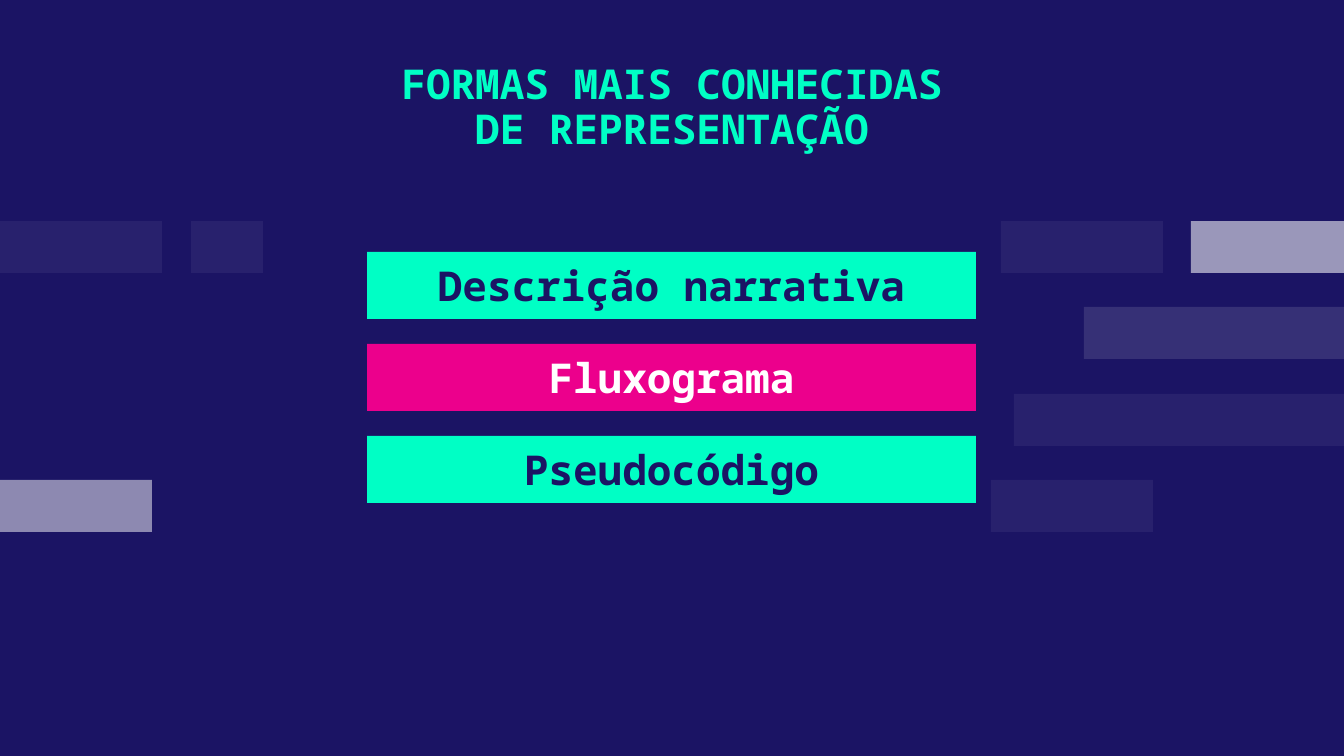
"""Build a slide listing the best-known forms of representing algorithms."""
import pptx
import pptx.dml.color
import pptx.enum.shapes
import pptx.enum.text
import pptx.oxml
import pptx.oxml.ns
import pptx.util

PX = 914400 / 134.4
NAVY, MINT, PINK, WHITE = "1B1464", "00FFC5", "EC008C", "FFFFFF"


def paint(target, colour):
    if hasattr(target, "solid"):
        target.solid()
        target = target.fore_color
    target.rgb = pptx.dml.color.RGBColor.from_string(colour)


def write(box, lines, colour, anchor, spacing):
    frame = box.text_frame
    frame_format = {
        "word_wrap": True,
        "auto_size": pptx.enum.text.MSO_AUTO_SIZE.NONE,
        "vertical_anchor": anchor,
    }
    for side in ("left", "top", "right", "bottom"):
        frame_format[f"margin_{side}"] = pptx.util.Inches(0.1)
    for name, value in frame_format.items():
        setattr(frame, name, value)
    frame.text = "\n".join(lines)
    for para in frame.paragraphs:
        para.alignment = pptx.enum.text.PP_ALIGN.CENTER
        para.line_spacing = spacing
        for span in para.runs:
            font_format = {"name": "Noto Sans Mono", "size": pptx.util.Pt(22), "bold": True}
            for name, value in font_format.items():
                setattr(span.font, name, value)
            paint(span.font.color, colour)


deck = pptx.Presentation()
deck.slide_width = round(1344 * PX)
deck.slide_height = round(756 * PX)
page = deck.slides.add_slide(deck.slide_layouts[5])
paint(page.background.fill, NAVY)

title = page.shapes.title
title_place = {"left": 188, "top": 51, "width": 968, "height": 98}
for name, value in title_place.items():
    setattr(title, name, round(value * PX))
heading = ["FORMAS MAIS CONHECIDAS", "DE REPRESENTAÇÃO"]
write(title, heading, MINT, pptx.enum.text.MSO_ANCHOR.TOP, 0.9)

blocks = [
    (0, 0, 162, 6),
    (0, 191, 72, 6),
    (0, 1001, 162, 6),
    (0, 1191, 153, 56),
    (1, 1084, 260, 12),
    (2, 1014, 330, 6),
    (3, 0, 152, 50),
    (3, 991, 162, 6),
]
bars = [
    ("Descrição narrativa", MINT, NAVY),
    ("Fluxograma", PINK, WHITE),
    ("Pseudocódigo", MINT, NAVY),
]
rectangles = [
    (left, 221 + row * 173 // 2, width, 52, WHITE, opacity, None, None)
    for row, left, width, opacity in blocks
] + [
    (367, 252 + row * 92, 609, 67, fill, 100, label, colour)
    for row, (label, fill, colour) in enumerate(bars)
]
for left, top, width, height, fill, opacity, label, colour in rectangles:
    place = [round(value * PX) for value in (left, top, width, height)]
    box = page.shapes.add_shape(pptx.enum.shapes.MSO_SHAPE.RECTANGLE, *place)
    box.shadow.inherit = False
    box.line.fill.background()
    paint(box.fill, fill)
    if opacity < 100:
        tint = box.fill._xPr.find(".//" + pptx.oxml.ns.qn("a:srgbClr"))
        alpha = pptx.oxml.parse_xml(
            f'<a:alpha {pptx.oxml.ns.nsdecls("a")} val="{opacity * 1000}"/>'
        )
        tint.append(alpha)
    if label:
        write(box, [label], colour, pptx.enum.text.MSO_ANCHOR.MIDDLE, 1.0)

deck.save("out.pptx")
